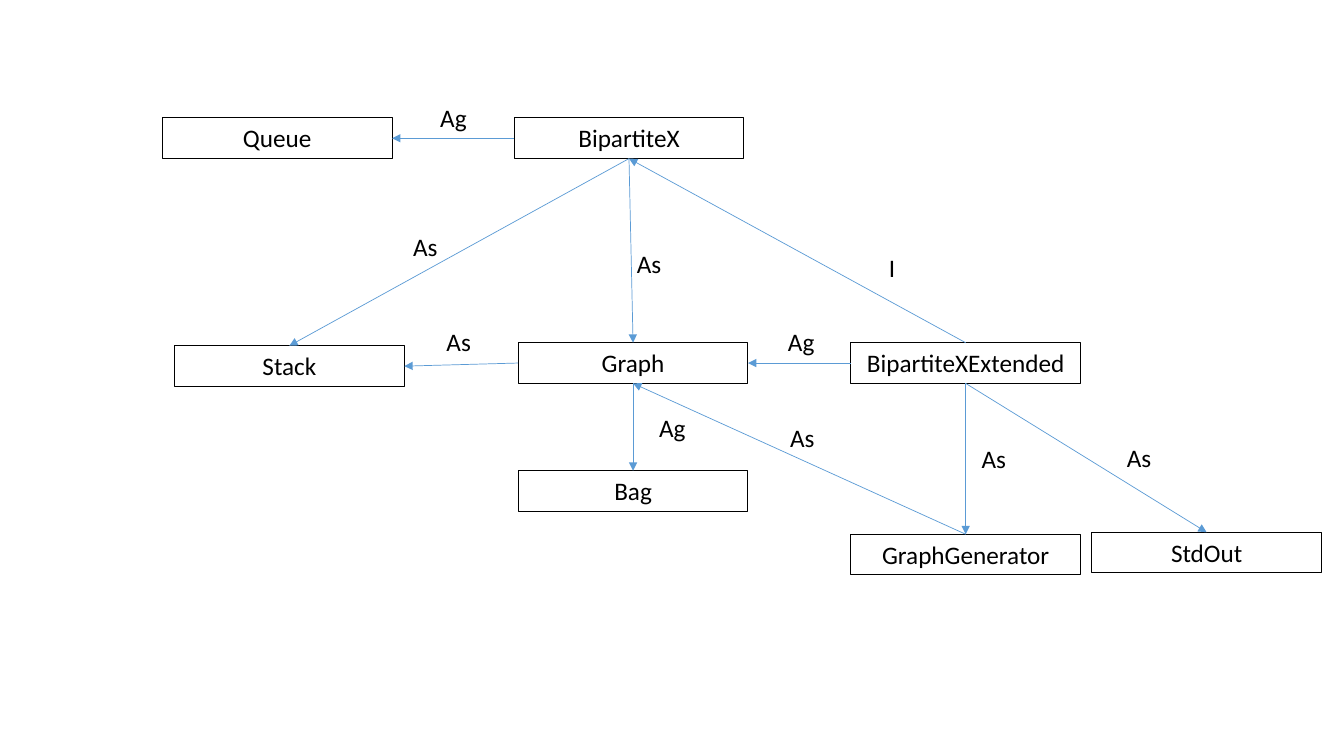
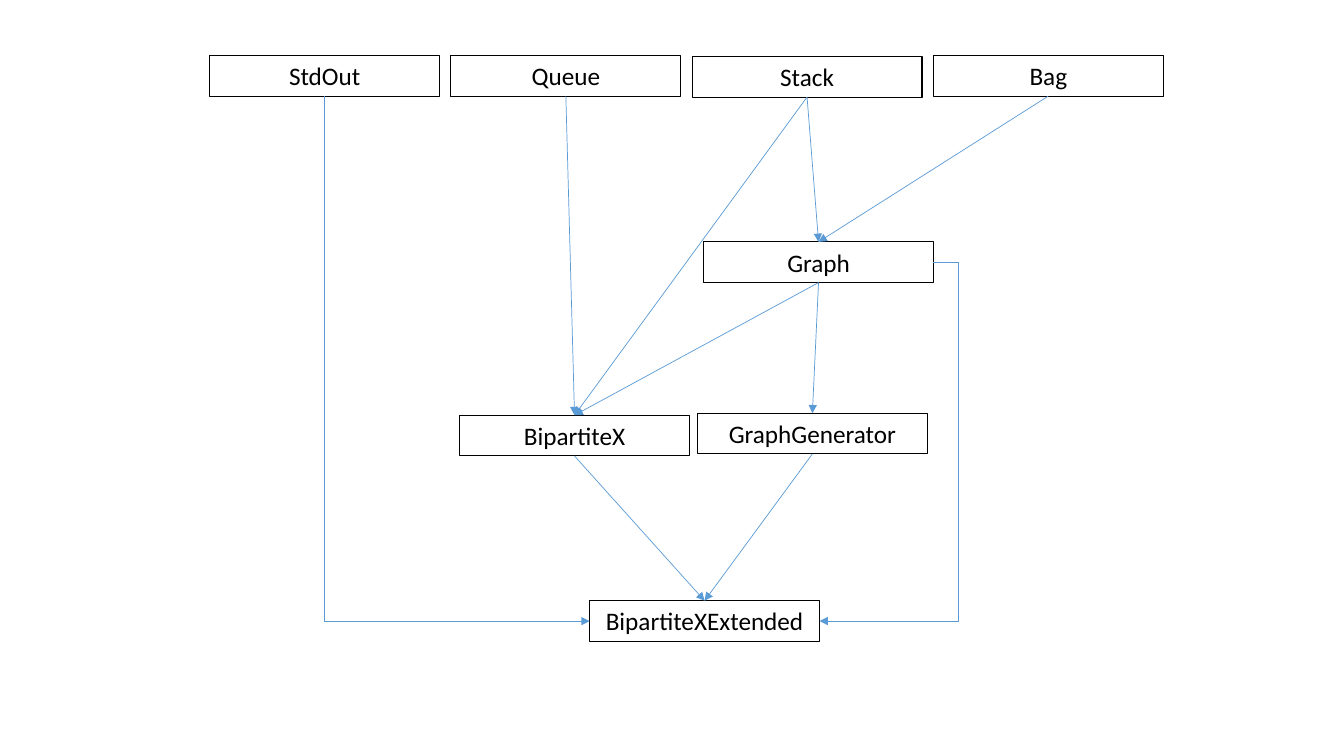
from lxml.etree import SubElement
from pptx import Presentation
from pptx.dml.color import RGBColor
from pptx.enum.shapes import MSO_CONNECTOR as Connector, MSO_SHAPE as Preset
from pptx.enum.text import MSO_ANCHOR as Anchor, MSO_AUTO_SIZE as AutoSize, PP_ALIGN as Align
from pptx.oxml.ns import qn
from pptx.util import Pt

BLACK, BLUE = "000000", "5B9BD5"
FONT, FONT_SIZE = "Calibri", 18
BOX_WIDTH, BOX_HEIGHT = 164.2, 29.08
TOP, LEFT, BOTTOM, RIGHT = range(4)
LABEL_WIDTHS = {"I": 19.4, "As": 32.4, "Ag": 33.8}
ROW_LEFT, ROW_STEP = 149.8, 172.3

RELATION_BOXES = {
    "BipartiteX": (367.2, 84.2),
    "Graph": (370.1, 244.8),
    "BipartiteXExtended": (607.7, 244.8),
    "GraphGenerator": (607.7, 381.6),
    "Queue": (115.9, 84.2),
    "Stack": (124.6, 247),
    "Bag": (370.1, 336.2),
    "StdOut": (779.8, 380.2),
}
RELATIONS = [
    ("BipartiteXExtended", TOP, "BipartiteX", BOTTOM, "I", 627.8, 176.4),
    ("BipartiteXExtended", LEFT, "Graph", RIGHT, "Ag", 555.8, 229.7),
    ("BipartiteXExtended", BOTTOM, "GraphGenerator", TOP, "As", 694.1, 313.2),
    ("BipartiteXExtended", BOTTOM, "StdOut", TOP, "As", 797.8, 312.5),
    ("BipartiteX", LEFT, "Queue", RIGHT, "Ag", 307.4, 69.8),
    ("Graph", BOTTOM, "Bag", TOP, "Ag", 463.7, 290.9),
    ("BipartiteX", BOTTOM, "Stack", TOP, "As", 288, 162),
    ("BipartiteX", BOTTOM, "Graph", TOP, "As", 447.8, 173.5),
    ("GraphGenerator", TOP, "Graph", BOTTOM, "As", 557.3, 298.1),
    ("Graph", LEFT, "Stack", RIGHT, "As", 311.8, 229.7),
]
ORDER_BOXES = {
    "BipartiteX": (328.3, 296.6),
    "Graph": (502.6, 172.8),
    "BipartiteXExtended": (421.2, 429.1),
    "GraphGenerator": (498.2, 295.2),
    "StdOut": (ROW_LEFT, 39.6),
    "Queue": (ROW_LEFT + ROW_STEP, 39.6),
    "Stack": (ROW_LEFT + 2 * ROW_STEP, 40.3),
    "Bag": (ROW_LEFT + 3 * ROW_STEP, 39.6),
}
ORDER_LINKS = [
    ("Queue", "BipartiteX"),
    ("Stack", "BipartiteX"),
    ("Bag", "Graph"),
    ("BipartiteX", "BipartiteXExtended"),
    ("GraphGenerator", "BipartiteXExtended"),
    ("Graph", "BipartiteX"),
    ("Graph", "GraphGenerator"),
    ("Stack", "Graph"),
]


def color(value):
    """Turn a hex string into a colour."""
    return RGBColor.from_string(value)


def write(shape, text, align, wrap):
    """Write one run of text in the shared style."""
    frame = shape.text_frame
    frame.word_wrap = wrap
    frame.auto_size = AutoSize.SHAPE_TO_FIT_TEXT
    frame.vertical_anchor = Anchor.TOP
    paragraph = frame.paragraphs[0]
    paragraph.alignment = align
    run = paragraph.add_run()
    run.text = text
    run.font.name = FONT
    run.font.size = Pt(FONT_SIZE)
    run.font.color.rgb = color(BLACK)


def add_box(slide, name, left, top):
    """Draw an outlined class box."""
    shape = slide.shapes.add_shape(
        Preset.RECTANGLE, Pt(left), Pt(top), Pt(BOX_WIDTH), Pt(BOX_HEIGHT))
    shape.shadow.inherit = False
    shape.fill.background()
    shape.line.color.rgb = color(BLACK)
    shape.line.width = Pt(0.75)
    write(shape, name, Align.CENTER, True)
    return shape


def add_boxes(slide, places):
    """Draw all class boxes and return them by name."""
    return {name: add_box(slide, name, *place) for name, place in places.items()}


def add_label(slide, text, left, top):
    """Place a relation label beside its arrow."""
    shape = slide.shapes.add_textbox(
        Pt(left), Pt(top), Pt(LABEL_WIDTHS[text]), Pt(BOX_HEIGHT))
    write(shape, text, Align.LEFT, False)


def add_arrow(slide, source, source_side, target, target_side, kind=Connector.STRAIGHT):
    """Join two boxes with an arrow glued to their sides."""
    arrow = slide.shapes.add_connector(kind, 0, 0, 0, 0)
    arrow.begin_connect(source, source_side)
    arrow.end_connect(target, target_side)
    arrow.line.color.rgb = color(BLUE)
    arrow.line.width = Pt(0.5)
    properties = arrow.element.spPr
    SubElement(properties.find(qn("a:ln")), qn("a:tailEnd"), type="triangle")
    SubElement(properties, qn("a:effectLst"))
    return arrow


def add_side_arrow(slide, source, target, offset):
    """Join two right sides by a path that runs outside the boxes."""
    arrow = add_arrow(slide, source, RIGHT, target, RIGHT, Connector.ELBOW)
    ratio = round(-100000 * Pt(offset) / arrow.width)
    adjustments = arrow.element.spPr.find(qn("a:prstGeom")).find(qn("a:avLst"))
    SubElement(adjustments, qn("a:gd"), name="adj1", fmla=f"val {ratio}")


def add_corner_arrow(slide, source, target):
    """Run down from one box, then right into another."""
    arrow = add_arrow(slide, source, BOTTOM, target, LEFT, Connector.ELBOW)
    width, height = arrow.width, arrow.height
    arrow.left += (width - height) // 2
    arrow.top += (height - width) // 2
    arrow.width, arrow.height = height, width
    properties = arrow.element.spPr
    properties.find(qn("a:prstGeom")).set("prst", "bentConnector2")
    frame = properties.find(qn("a:xfrm"))
    frame.set("rot", str(270 * 60000))
    frame.set("flipH", "1")


def build_relations(slide):
    """Show the classes and the kind of each relation."""
    boxes = add_boxes(slide, RELATION_BOXES)
    for source, source_side, target, target_side, label, left, top in RELATIONS:
        add_arrow(slide, boxes[source], source_side, boxes[target], target_side)
        add_label(slide, label, left, top)


def build_order(slide):
    """Show the classes in order of dependency."""
    boxes = add_boxes(slide, ORDER_BOXES)
    for source, target in ORDER_LINKS:
        add_arrow(slide, boxes[source], BOTTOM, boxes[target], TOP)
    extended = boxes["BipartiteXExtended"]
    add_corner_arrow(slide, boxes["StdOut"], extended)
    add_side_arrow(slide, boxes["Graph"], extended, 18)


def main():
    """Build and save both diagrams."""
    presentation = Presentation()
    presentation.slide_width, presentation.slide_height = Pt(960), Pt(540)
    for build in (build_relations, build_order):
        build(presentation.slides.add_slide(presentation.slide_layouts[6]))
    presentation.save("out.pptx")


main()
